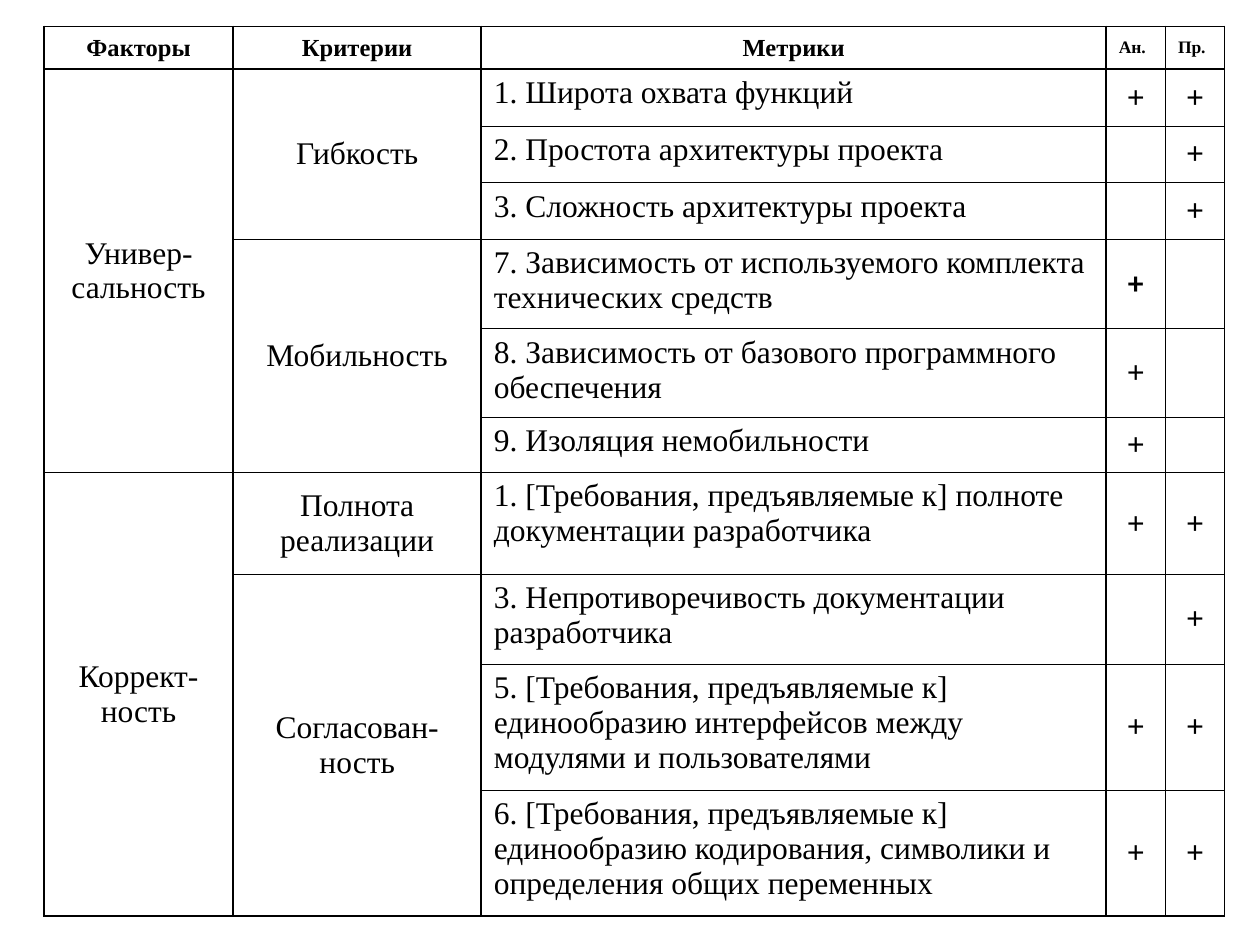
from lxml.etree import SubElement
from pptx import Presentation
from pptx.dml.color import RGBColor
from pptx.enum.text import MSO_ANCHOR, PP_ALIGN
from pptx.oxml.ns import qn
from pptx.util import Inches, Pt

BLACK = "000000"
SERIF, SANS = "Times New Roman", "Calibri"
THICK, THIN = 1.08, 0.45

COLUMN_WIDTHS = [1.5, 1.97, 4.96, 0.47, 0.47]
ROW_HEIGHTS = [0.34, 0.45, 0.45, 0.45, 0.71, 0.7, 0.44, 0.81, 0.71, 1, 1]
HEADINGS = ["Факторы", "Критерии", "Метрики", "Ан.", "Пр."]

# Factor -> criterion -> (metric, analysis mark, design mark)
FACTORS = {
    "Универ-сальность": {
        "Гибкость": [
            ("1. Широта охвата функций", "+", "+"),
            ("2. Простота архитектуры проекта", "", "+"),
            ("3. Сложность архитектуры проекта", "", "+"),
        ],
        "Мобильность": [
            ("7. Зависимость от используемого комплекта технических средств", "+", ""),
            ("8. Зависимость от базового программного обеспечения", "+", ""),
            ("9. Изоляция немобильности", "+", ""),
        ],
    },
    "Коррект-ность": {
        "Полнота реализации": [
            ("1. [Требования, предъявляемые к] полноте документации разработчика", "+", "+"),
        ],
        "Согласован-ность": [
            ("3. Непротиворечивость документации разработчика", "", "+"),
            ("5. [Требования, предъявляемые к] единообразию интерфейсов "
             "между модулями и пользователями", "+", "+"),
            ("6. [Требования, предъявляемые к] единообразию кодирования, "
             "символики и определения общих переменных", "+", "+"),
        ],
    },
}
SANS_MARK = (4, 3)  # the one mark set in the sans font


def color(value):
    return RGBColor.from_string(value)


def write_cell(cell, text, size=18, bold=False, font=SERIF,
               align=PP_ALIGN.CENTER, anchor=MSO_ANCHOR.MIDDLE):
    cell.vertical_anchor = anchor
    para = cell.text_frame.paragraphs[0]
    para.alignment = align
    if not text:
        para.font.size = Pt(size)
        return
    span = para.add_run()
    span.text = text
    span.font.name = font
    span.font.size = Pt(size)
    span.font.bold = bold
    span.font.color.rgb = color(BLACK)


def draw_borders(cell, widths):
    """Add the left, right, top and bottom lines ahead of the cell fill."""
    properties = cell._tc.get_or_add_tcPr()
    for index, (side, width) in enumerate(zip("LRTB", widths)):
        line = SubElement(properties, qn(f"a:ln{side}"), w=str(Pt(width)))
        fill = SubElement(line, qn("a:solidFill"))
        SubElement(fill, qn("a:srgbClr"), val=BLACK)
        properties.insert(index, line)


def merge_down(table, column, first, last):
    if last > first:
        table.cell(first, column).merge(table.cell(last, column))


def fill_header(table):
    for column, heading in enumerate(HEADINGS):
        is_mark = column > 2
        write_cell(table.cell(0, column), heading, size=10 if is_mark else 14, bold=True,
                   align=PP_ALIGN.LEFT if is_mark else PP_ALIGN.CENTER)


def fill_metric(table, row, metric, marks):
    write_cell(table.cell(row, 2), metric, align=PP_ALIGN.LEFT, anchor=MSO_ANCHOR.TOP)
    for column, mark in enumerate(marks, start=3):
        font = SANS if (row, column) == SANS_MARK else SERIF
        write_cell(table.cell(row, column), mark, bold=True, font=font)


def fill_body(table):
    row = 1
    for factor, criteria in FACTORS.items():
        factor_start = row
        write_cell(table.cell(row, 0), factor)
        for criterion, metrics in criteria.items():
            criterion_start = row
            write_cell(table.cell(row, 1), criterion)
            for metric, *marks in metrics:
                fill_metric(table, row, metric, marks)
                row += 1
            merge_down(table, 1, criterion_start, row - 1)
        merge_down(table, 0, factor_start, row - 1)


def style_grid(table):
    """Thick lines frame the header, the table and all columns but the last two."""
    thick_edges = {0, 1, len(ROW_HEIGHTS)}
    thin_column_edge = 4
    for row in range(len(ROW_HEIGHTS)):
        for column in range(len(COLUMN_WIDTHS)):
            cell = table.cell(row, column)
            cell.fill.background()
            if cell.is_spanned:
                continue
            sides = [THIN if edge == thin_column_edge else THICK
                     for edge in (column, column + 1)]
            ends = [THICK if edge in thick_edges else THIN
                    for edge in (row, row + cell.span_height)]
            draw_borders(cell, sides + ends)


def add_metrics_table(page):
    frame = page.shapes.add_table(
        len(ROW_HEIGHTS), len(COLUMN_WIDTHS), Inches(0.35), Inches(0.21),
        Inches(sum(COLUMN_WIDTHS)), Inches(sum(ROW_HEIGHTS)))
    table = frame.table
    table.first_row = table.horz_banding = False
    for column, width in zip(table.columns, COLUMN_WIDTHS):
        column.width = Inches(width)
    for row, height in zip(table.rows, ROW_HEIGHTS):
        row.height = Inches(height)
    fill_header(table)
    fill_body(table)
    style_grid(table)


def main():
    deck = Presentation()
    deck.slide_width, deck.slide_height = Inches(10), Inches(7.5)
    page = deck.slides.add_slide(deck.slide_layouts[6])
    add_metrics_table(page)
    deck.save("out.pptx")


if __name__ == "__main__":
    main()
